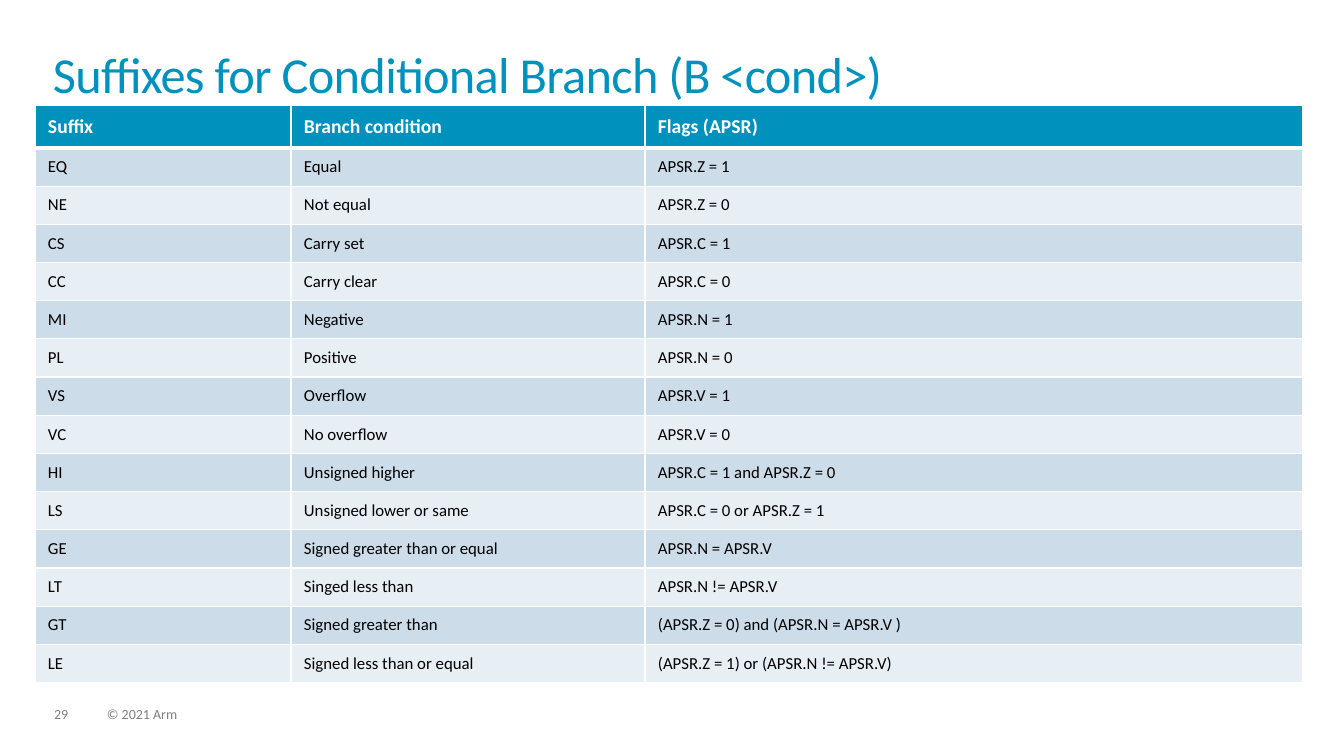
from lxml import etree
from pptx import Presentation
from pptx import util as u
from pptx.dml.color import RGBColor
from pptx.enum import text
from pptx.oxml.ns import qn

EMU_PER_PX = 914400 / 100.8
FONT = "Calibri"
TEAL, WHITE, BLACK, GREY = "0091BD", "FFFFFF", "000000", "7F7F7F"
BANDS = ("CCDCE8", "E7EEF4")

HEADINGS = ("Suffix", "Branch condition", "Flags (APSR)")
CONDITIONS = (
    ("EQ", "Equal", "APSR.Z = 1"),
    ("NE", "Not equal", "APSR.Z = 0"),
    ("CS", "Carry set", "APSR.C = 1"),
    ("CC", "Carry clear", "APSR.C = 0"),
    ("MI", "Negative", "APSR.N = 1"),
    ("PL", "Positive", "APSR.N = 0"),
    ("VS", "Overflow", "APSR.V = 1"),
    ("VC", "No overflow", "APSR.V = 0"),
    ("HI", "Unsigned higher", "APSR.C = 1 and APSR.Z = 0"),
    ("LS", "Unsigned lower or same", "APSR.C = 0 or APSR.Z = 1"),
    ("GE", "Signed greater than or equal", "APSR.N = APSR.V"),
    ("LT", "Singed less than", "APSR.N != APSR.V"),
    ("GT", "Signed greater than", "(APSR.Z = 0) and (APSR.N = APSR.V )"),
    ("LE", "Signed less than or equal", "(APSR.Z = 1) or (APSR.N != APSR.V)"),
)


def px(length):
    return u.Emu(round(length * EMU_PER_PX))


def color(hex_code):
    return RGBColor.from_string(hex_code)


def format_run(run, size, hex_code, bold=False):
    run.font.name = FONT
    run.font.size = u.Pt(size)
    run.font.bold = bold
    run.font.color.rgb = color(hex_code)


def add_label(slide, box, wording, size, hex_code, line_spacing):
    """Place a one-line text without insets and return its run."""
    frame = slide.shapes.add_textbox(*map(px, box)).text_frame
    frame.word_wrap = True
    frame.margin_left = frame.margin_right = 0
    frame.margin_top = frame.margin_bottom = 0
    frame.text = wording
    line = frame.paragraphs[0]
    line.line_spacing = line_spacing
    format_run(line.runs[0], size, hex_code)
    return line.runs[0]


def add_title(slide, box):
    title = add_label(slide, box, "Suffixes for Conditional Branch (B <cond>)",
                      36, TEAL, 0.85)
    title.font._element.set("spc", "-50")


def add_footer(slide, box):
    left, top, width, height = box
    copyright_offset = 53
    add_label(slide, (left, top, 34, height), "29", 10, GREY, 0.9)
    add_label(slide, (left + copyright_offset, top, width - copyright_offset, height),
              "© 2021 Arm", 10, GREY, 0.9)


def add_borders(cell, bottom_width):
    properties = cell._tc.get_or_add_tcPr()
    for side, width in (("L", 1), ("R", 1), ("T", 1), ("B", bottom_width)):
        border = etree.SubElement(properties, qn(f"a:ln{side}"), w=str(u.Pt(width)))
        fill = etree.SubElement(border, qn("a:solidFill"))
        etree.SubElement(fill, qn("a:srgbClr"), val=WHITE)


def fill_row(cells, wordings, background, size, hex_code, bold=False, bottom_width=1):
    for cell, wording in zip(cells, wordings):
        cell.margin_left = cell.margin_right = px(13)
        cell.margin_top = cell.margin_bottom = px(5)
        cell.vertical_anchor = text.MSO_ANCHOR.MIDDLE
        add_borders(cell, bottom_width)
        cell.fill.solid()
        cell.fill.fore_color.rgb = color(background)
        cell.text = wording
        format_run(cell.text_frame.paragraphs[0].runs[0], size, hex_code, bold)


def add_condition_table(slide, box):
    left, top, width, height = box
    header_height = 43
    suffix_width, condition_width = 256, 354
    table = slide.shapes.add_table(len(CONDITIONS) + 1, len(HEADINGS),
                                   *map(px, box)).table
    widths = (suffix_width, condition_width, width - suffix_width - condition_width)
    for column, column_width in zip(table.columns, widths):
        column.width = px(column_width)

    header, *body = table.rows
    header.height = px(header_height)
    fill_row(header.cells, HEADINGS, TEAL, 14, WHITE, bold=True, bottom_width=3)
    for index, (row, condition) in enumerate(zip(body, CONDITIONS)):
        row.height = px((height - header_height) / len(CONDITIONS))
        # The lower edge of the header is shared with the first body row.
        fill_row(row.cells, condition, BANDS[index % 2], 12, BLACK)
    for cell in body[0].cells:
        cell._tc.tcPr.find(qn("a:lnT")).set("w", str(u.Pt(3)))


def main():
    deck = Presentation()
    deck.slide_width, deck.slide_height = px(1344), px(756)
    slide = deck.slides.add_slide(deck.slide_layouts[6])
    add_footer(slide, (54, 707, 565, 15))
    add_title(slide, (53, 52, 1238, 73))
    add_condition_table(slide, (35, 105, 1268, 578))
    deck.save("out.pptx")


if __name__ == "__main__":
    main()
